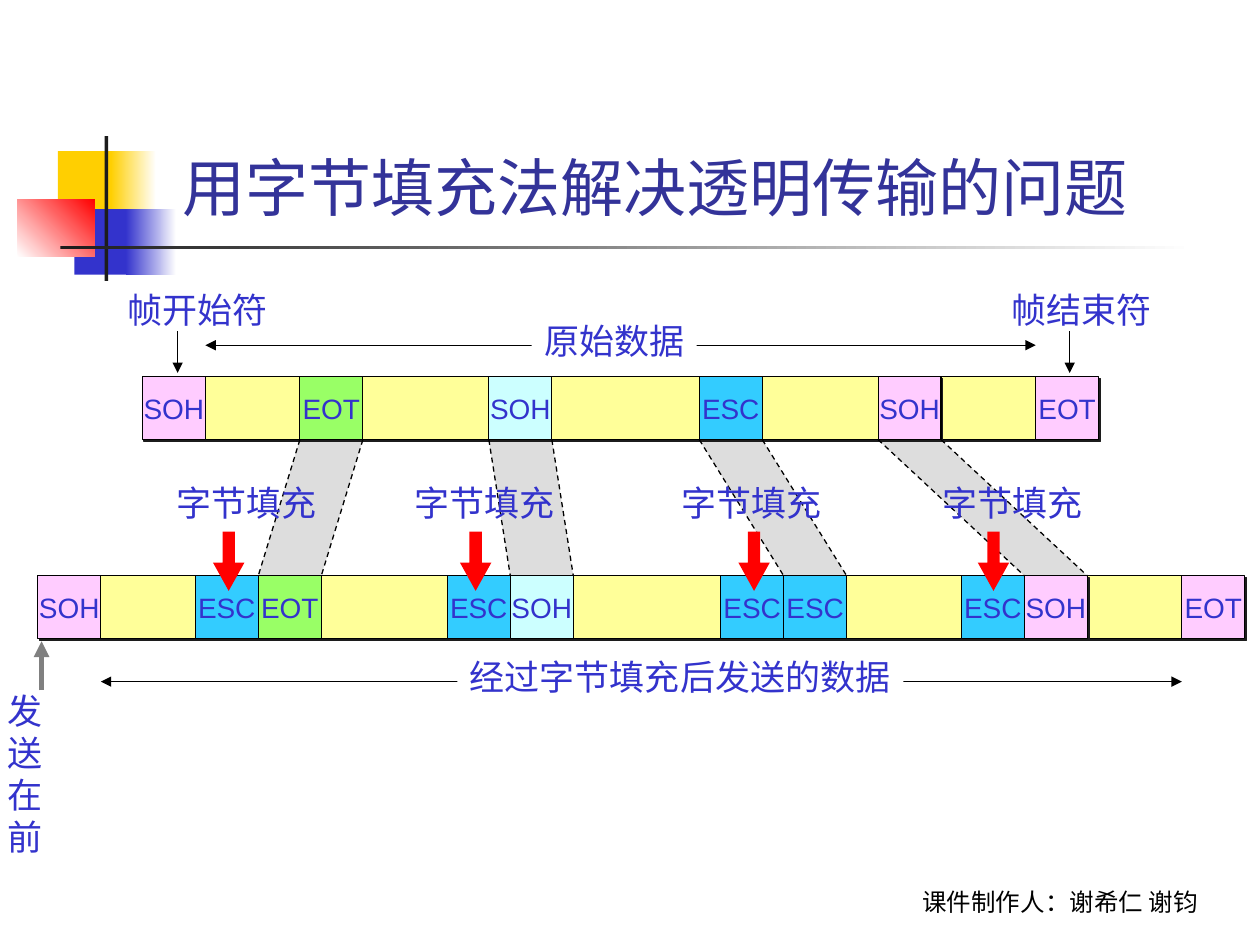
import pptx
import pptx.util
import pptx.dml.color
import pptx.oxml
import pptx.oxml.ns
from pptx.enum.dml import MSO_LINE
from pptx.enum.shapes import MSO_CONNECTOR, MSO_SHAPE
from pptx.enum.text import MSO_ANCHOR, PP_ALIGN
from lxml import etree

Inches = pptx.util.Inches
CELL = 0.5
TOP, BOTTOM = 2.99, 4.57
BLUE, PINK, YELLOW, GREEN, SKY, PALE = "3333CC", "FFCCFF", "FFFF99", "99FF66", "33CCFF", "CCFFFF"
STUFFED = [(2.38, 2.05, "EOT", GREEN), (3.88, 4.05, "SOH", PALE),
           (5.55, 6.22, "ESC", SKY), (6.97, 8.13, "SOH", PINK)]


def rgb(value):
    """Return the colour of a hex string."""
    return pptx.dml.color.RGBColor.from_string(value)


def write(sp, text, size=20, color=BLUE, font="Arial", align=PP_ALIGN.LEFT,
          anchor=MSO_ANCHOR.TOP, wrap=False):
    """Fill a shape with formatted paragraphs, one per line of text."""
    tf = sp.text_frame
    tf.word_wrap, tf.vertical_anchor = wrap, anchor
    for i, line in enumerate(text.split("\n")):
        p = tf.paragraphs[0] if i == 0 else tf.add_paragraph()
        p.alignment = align
        r = p.add_run()
        r.text = line
        r.font.size, r.font.name = pptx.util.Pt(size), font
        r.font.color.rgb = rgb(color)


def label(s, x, y, w, h, text, fill=None, **style):
    """Add a text box, with a background if a fill is given."""
    sp = s.shapes.add_textbox(*map(Inches, (x, y, w, h)))
    if fill:
        sp.fill.solid()
        sp.fill.fore_color.rgb = rgb(fill)
    write(sp, text, **style)


def block(s, x, y, w, h, fill, kind=MSO_SHAPE.RECTANGLE):
    """Add a plain filled shape without outline."""
    sp = s.shapes.add_shape(kind, *map(Inches, (x, y, w, h)))
    sp.shadow.inherit = False
    sp.fill.solid()
    sp.fill.fore_color.rgb = rgb(fill)
    sp.line.fill.background()
    return sp


def fade(s, x, y, w, h, start, end, angle=0):
    """Add a rectangle with a two-colour gradient."""
    sp = block(s, x, y, w, h, start)
    sp.fill.gradient()
    sp.fill.gradient_angle = angle
    for stop, color, position in zip(sp.fill.gradient_stops, (start, end), (0, 1)):
        stop.color.rgb = rgb(color)
        stop.position = position


def cell(s, x, y, text, fill, w=CELL, shadow=False):
    """Add an outlined field of a frame."""
    sp = block(s, x, y, w, CELL, fill)
    sp.line.color.rgb = rgb("000000")
    sp.line.width = pptx.util.Pt(0.75)
    if shadow:
        effects = sp._element.spPr.find(pptx.oxml.ns.qn("a:effectLst"))
        outer = etree.SubElement(effects, pptx.oxml.ns.qn("a:outerShdw"),
                                 dist=str(pptx.util.Pt(1.4)), dir="2700000", rotWithShape="0")
        etree.SubElement(outer, pptx.oxml.ns.qn("a:srgbClr"), val="1C1C1C")
    if text:
        write(sp, text, size=16, align=PP_ALIGN.CENTER, anchor=MSO_ANCHOR.MIDDLE)


def frame(s, y, start, end):
    """Add the start mark, data field and end mark of a frame."""
    cell(s, start, y, "SOH", PINK, shadow=True)
    cell(s, start + CELL, y, "", YELLOW, w=end - start - CELL, shadow=True)
    cell(s, end, y, "EOT", PINK, shadow=True)


def line(s, x1, y1, x2, y2, color="000000", width=0.75, dash=False, head=False, tail=False):
    """Add a straight line with optional dashes and arrowheads."""
    c = s.shapes.add_connector(MSO_CONNECTOR.STRAIGHT, *map(Inches, (x1, y1, x2, y2)))
    c.line.color.rgb = rgb(color)
    c.line.width = pptx.util.Pt(width)
    if dash:
        c.line.dash_style = MSO_LINE.DASH
    for tag, wanted in (("a:headEnd", head), ("a:tailEnd", tail)):
        if wanted:
            etree.SubElement(c.line._get_or_add_ln(), pptx.oxml.ns.qn(tag), type="triangle")
    etree.SubElement(c._element.spPr, pptx.oxml.ns.qn("a:effectLst"))


def band(s, upper, lower):
    """Add the grey area that links a byte to its place in the sent frame."""
    y1, y2 = TOP + CELL, BOTTOM
    points = [(Inches(x), Inches(y)) for x, y in
              ((upper, y1), (upper + CELL, y1), (lower + CELL, y2), (lower, y2))]
    builder = s.shapes.build_freeform(*points[0], scale=1.0)
    builder.add_line_segments(points[1:], close=True)
    sp = builder.convert_to_shape()
    sp.shadow.inherit = False
    sp.fill.solid()
    sp.fill.fore_color.rgb = rgb("DDDDDD")
    sp.line.fill.background()


def decoration(s):
    """Add the coloured squares and rules beside the title."""
    block(s, 0.46, 1.2, 0.48, 0.52, "FFCF01")
    fade(s, 0.88, 1.2, 0.36, 0.52, "FFCF01", "FFFFFF")
    block(s, 0.59, 1.66, 0.46, 0.52, BLUE)
    fade(s, 1, 1.66, 0.4, 0.52, BLUE, "FFFFFF")
    fade(s, 0.14, 1.58, 0.61, 0.46, "FFFFFF", "FF0000", angle=45)
    block(s, 0.83, 1.08, 0.03, 1.15, "1C1C1C")
    fade(s, 0.48, 1.95, 9, 0.03, "1C1C1C", "FFFFFF")


def title(s, text):
    """Place and format the title."""
    sp = s.shapes.title
    sp.left, sp.top, sp.width, sp.height = map(Inches, (1.26, 0.23, 7.99, 1.6))
    write(sp, text, size=36, color="333399", align=PP_ALIGN.CENTER,
          anchor=MSO_ANCHOR.BOTTOM, wrap=True)


def stuffing(s):
    """Add both frames and the bytes that are stuffed."""
    for upper, lower, _, _ in STUFFED:
        band(s, upper, lower)
    frame(s, TOP, 1.13, 8.22)
    frame(s, BOTTOM, 0.3, 9.38)
    for upper, lower, text, fill in STUFFED:
        marked = fill == PINK
        cell(s, upper, TOP, text, fill, shadow=marked)
        cell(s, lower - CELL, BOTTOM, "ESC", SKY)
        cell(s, lower, BOTTOM, text, fill, shadow=marked)
        for edge in (0, CELL):
            line(s, upper + edge, TOP + CELL, lower + edge, BOTTOM, dash=True)
    for text_x, arrow_x in ((1.3, 1.69), (3.19, 3.65), (5.31, 5.86), (7.38, 7.76)):
        label(s, text_x, 3.77, 1.31, 0.44, "字节填充")
        sp = block(s, arrow_x, 4.22, 0.25, 0.47, "FF0000", MSO_SHAPE.DOWN_ARROW)
        sp.adjustments[0], sp.adjustments[1] = 0.39, 0.9


def annotations(s):
    """Add the labels and arrows around the frames."""
    line(s, 1.63, 2.74, 8.22, 2.74, head=True, tail=True)
    label(s, 4.22, 2.49, 1.31, 0.44, "原始数据", fill="FFFFFF")
    line(s, 0.8, 5.41, 9.38, 5.41, head=True, tail=True)
    label(s, 3.63, 5.15, 3.54, 0.44, "经过字节填充后发送的数据", fill="FFFFFF")
    for text, text_x, arrow_x in (("帧开始符", 0.91, 1.41), ("帧结束符", 7.93, 8.49)):
        line(s, arrow_x, 2.63, arrow_x, 2.96, tail=True)
        label(s, text_x, 2.24, 1.31, 0.44, text)
    line(s, 0.33, 5.48, 0.33, 5.09, color="808080", width=3, tail=True)
    label(s, -0.04, 5.42, 0.75, 0.77, "发送\n在前")
    label(s, 6.83, 6.82, 3.17, 0.5, "课件制作人：谢希仁 谢钧", size=14, color="000000",
          font="Roboto", align=PP_ALIGN.CENTER, anchor=MSO_ANCHOR.BOTTOM, wrap=True)


def main():
    """Build and save the slide."""
    prs = pptx.Presentation()
    prs.slide_width, prs.slide_height = Inches(10), Inches(7.5)
    s = prs.slides.add_slide(prs.slide_layouts[5])
    decoration(s)
    title(s, "用字节填充法解决透明传输的问题 ")
    stuffing(s)
    annotations(s)
    prs.save("out.pptx")


if __name__ == "__main__":
    main()
